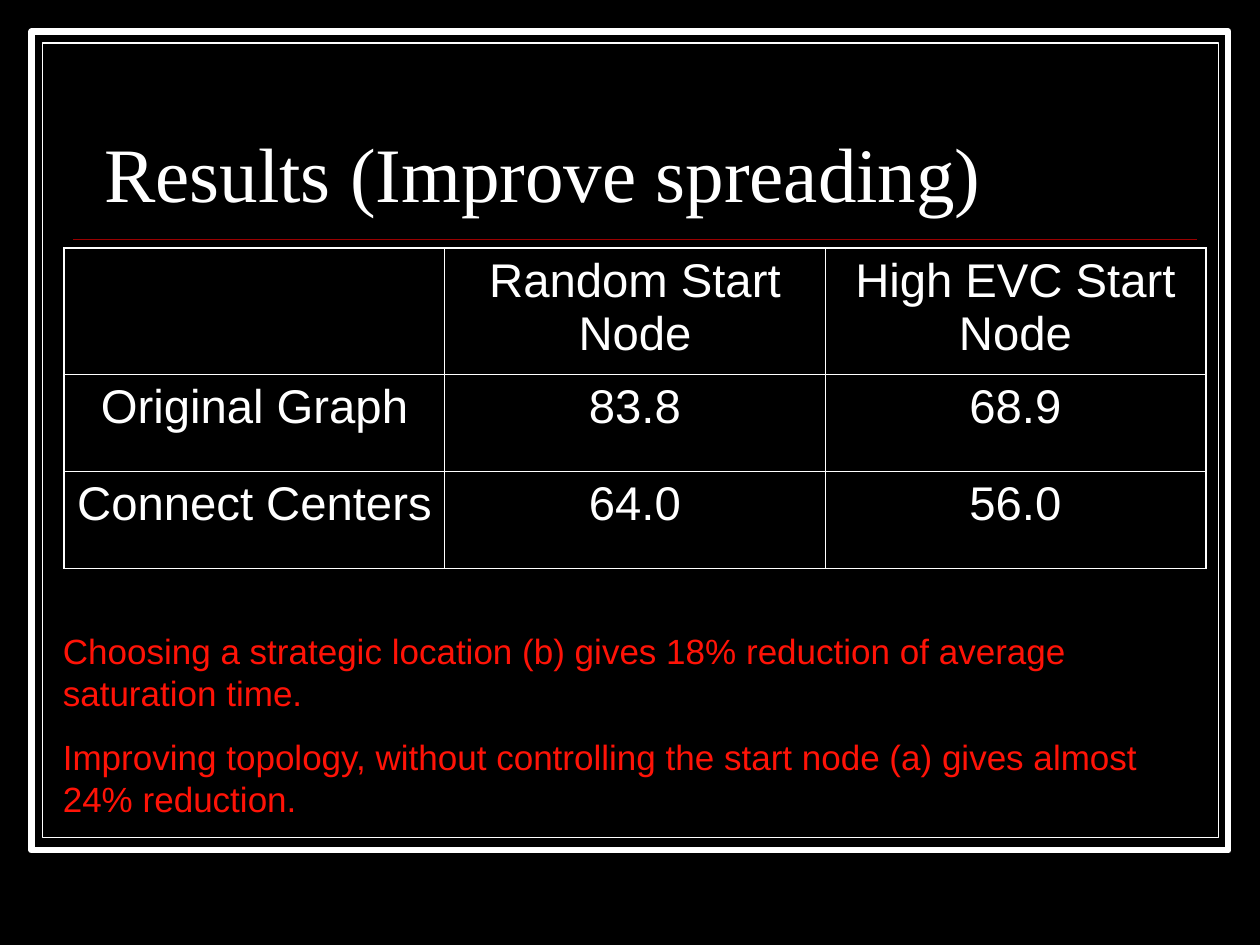
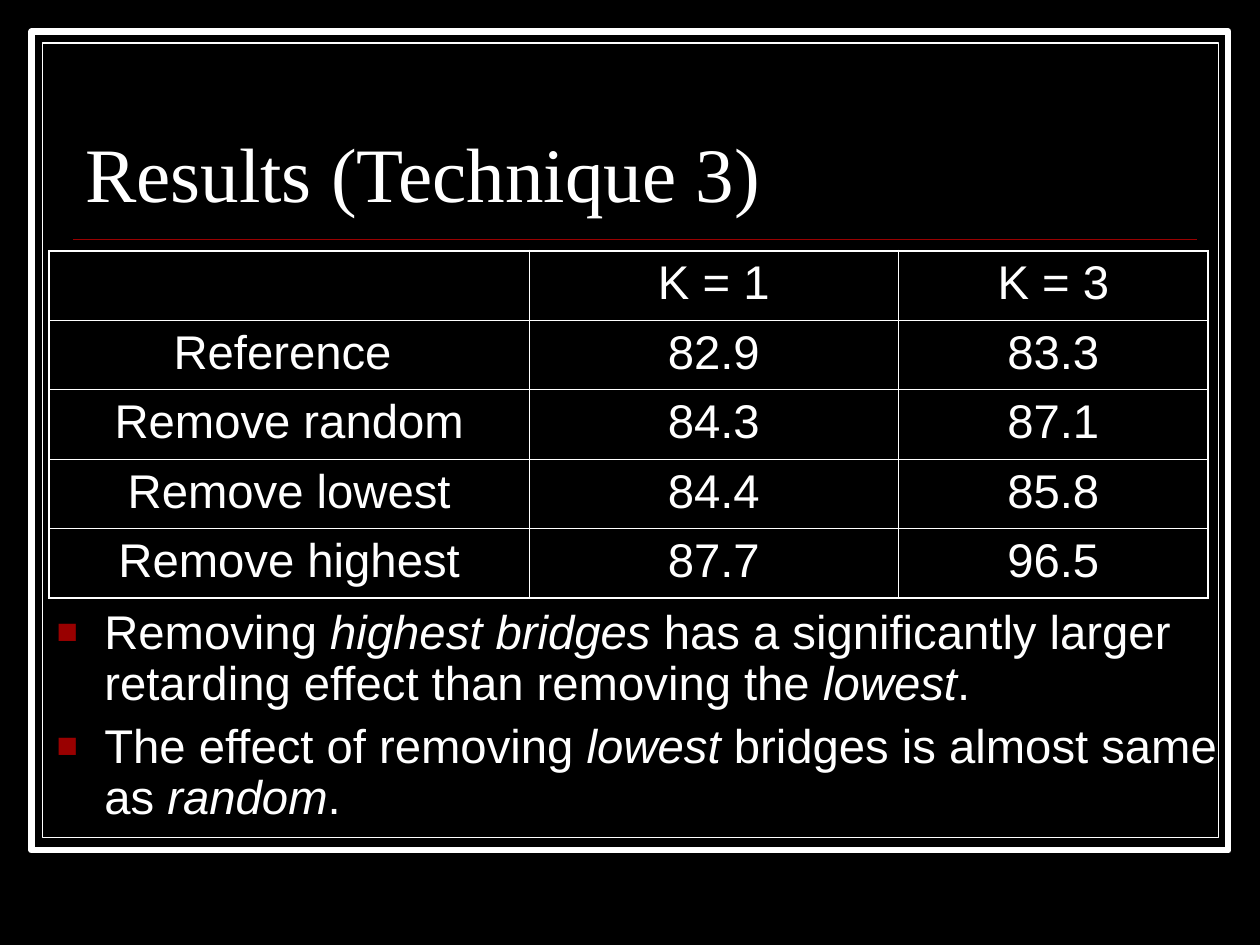
from dataclasses import dataclass

from lxml import etree
from pptx import Presentation
from pptx.dml.color import RGBColor
from pptx.enum import shapes, text
from pptx.oxml import ns
from pptx.util import Inches, Pt


@dataclass(frozen=True)
class Theme:
    background: str = "000000"
    ink: str = "FFFFFF"
    accent: str = "990000"
    finding: str = "FF1307"
    title_font: str = "Times New Roman"
    body_font: str = "Arial"
    title_size: int = 44
    body_size: int = 27
    finding_size: int = 20
    outer_border: float = 1.08
    inner_border: float = 0.45


theme = Theme()


def add_xml(parent, tag, **attributes):
    return etree.SubElement(parent, ns.qn(tag), attributes)


def write(frame, content, *, size=theme.body_size, font=theme.body_font, color=theme.ink,
          align=text.PP_ALIGN.LEFT, line_spacing=1.0, gap=0, bullet=None):
    frame.word_wrap = True
    for number, line in enumerate(content.split("\n")):
        paragraph = frame.add_paragraph() if number else frame.paragraphs[0]
        if bullet:
            properties = paragraph._p.get_or_add_pPr()
            properties.set("marL", str(Inches(0.38)))
            properties.set("indent", str(-Inches(0.38)))
            bullet_color = add_xml(properties, "a:buClr")
            add_xml(bullet_color, "a:srgbClr", val=theme.accent)
            add_xml(properties, "a:buSzPct", val="75000")
            add_xml(properties, "a:buFont", typeface=font)
            add_xml(properties, "a:buChar", char=bullet)
        paragraph.alignment = align
        paragraph.line_spacing = line_spacing
        if number:
            paragraph.space_before = Pt(gap)
        for part, words in enumerate(line.split("*")):
            run = paragraph.add_run()
            run.text = words
            run.font.size = Pt(size)
            run.font.name = font
            run.font.italic = part % 2 == 1
            run.font.color.rgb = RGBColor.from_string(color)


results = [
    dict(
        title="Results (Improve spreading)",
        title_left=0.73,
        table_at=(0.51, 1.97),
        columns=[3.02, 3.02, 3.02],
        rows=[1, 0.77, 0.77],
        cells=[
            ["", "Random Start Node", "High EVC Start Node"],
            ["Original Graph", "83.8", "68.9"],
            ["Connect Centers", "64.0", "56.0"],
        ],
        notes_at=(0.4, 4.95, 9.25, 1.61),
        notes="Choosing a strategic location (b) gives 18% reduction of average saturation time.\n"
              "Improving topology, without controlling the start node (a) gives almost 24% reduction.",
        notes_format=dict(size=theme.finding_size, color=theme.finding, gap=12.5),
    ),
    dict(
        title="Results (Technique 3)",
        title_left=0.58,
        table_at=(0.39, 1.99),
        columns=[3.81, 2.93, 2.46],
        rows=[0.55] * 5,
        cells=[
            ["", "K = 1", "K = 3"],
            ["Reference ", "82.9", "83.3"],
            ["Remove random", "84.3", "87.1"],
            ["Remove lowest", "84.4", "85.8"],
            ["Remove highest", "87.7", "96.5"],
        ],
        notes_at=(0.35, 4.78, 9.41, 1.88),
        notes="Removing *highest bridges* has a significantly larger retarding effect "
              "than removing the *lowest*.\n"
              "The effect of removing *lowest* bridges is almost same as *random*.",
        notes_format=dict(line_spacing=0.9, gap=6.8, bullet="■"),
    ),
]

presentation = Presentation()
presentation.slide_width = Inches(10)
presentation.slide_height = Inches(7.5)

for result in results:
    slide = presentation.slides.add_slide(presentation.slide_layouts[6])
    slide.background.fill.solid()
    slide.background.fill.fore_color.rgb = RGBColor.from_string(theme.background)

    for left, width, height, weight in [(0.25, 9.5, 6.5, 3.5), (0.34, 9.33, 6.31, 0.75)]:
        border = slide.shapes.add_shape(
            shapes.MSO_SHAPE.RECTANGLE, Inches(left), Inches(left), Inches(width), Inches(height))
        border.shadow.inherit = False
        border.fill.solid()
        border.fill.fore_color.rgb = RGBColor.from_string(theme.background)
        border.line.color.rgb = RGBColor.from_string(theme.ink)
        border.line.width = Pt(weight)

    rule = slide.shapes.add_connector(
        shapes.MSO_CONNECTOR.STRAIGHT, Inches(0.58), Inches(1.9), Inches(9.5), Inches(1.9))
    rule.line.color.rgb = RGBColor.from_string(theme.accent)
    rule.line.width = Pt(1)
    add_xml(rule._element.spPr, "a:effectLst")

    title = slide.shapes.add_textbox(
        Inches(result["title_left"]), Inches(0.52), Inches(8.92), Inches(1.25))
    title.text_frame.vertical_anchor = text.MSO_ANCHOR.BOTTOM
    write(title.text_frame, result["title"], size=theme.title_size,
          font=theme.title_font, line_spacing=0.8)

    notes = slide.shapes.add_textbox(*map(Inches, result["notes_at"]))
    write(notes.text_frame, result["notes"], **result["notes_format"])

    columns, rows = result["columns"], result["rows"]
    table = slide.shapes.add_table(
        len(rows), len(columns), *map(Inches, result["table_at"]),
        Inches(sum(columns)), Inches(sum(rows))).table
    table.first_row = False
    table.horz_banding = False
    for column, width in zip(table.columns, columns):
        column.width = Inches(width)
    for row, height in zip(table.rows, rows):
        row.height = Inches(height)

    for row_number, values in enumerate(result["cells"]):
        for column_number, value in enumerate(values):
            cell = table.cell(row_number, column_number)
            cell.fill.background()
            if value:
                write(cell.text_frame, value, align=text.PP_ALIGN.CENTER)
            outer_sides = {
                "a:lnL": column_number == 0,
                "a:lnR": column_number == len(columns) - 1,
                "a:lnT": row_number == 0,
                "a:lnB": row_number == len(rows) - 1,
            }
            properties = cell._tc.get_or_add_tcPr()
            for position, (side, is_outer) in enumerate(outer_sides.items()):
                weight = theme.outer_border if is_outer else theme.inner_border
                edge = add_xml(properties, side, w=str(Pt(weight)))
                add_xml(add_xml(edge, "a:solidFill"), "a:srgbClr", val=theme.ink)
                properties.insert(position, edge)

presentation.save("out.pptx")
